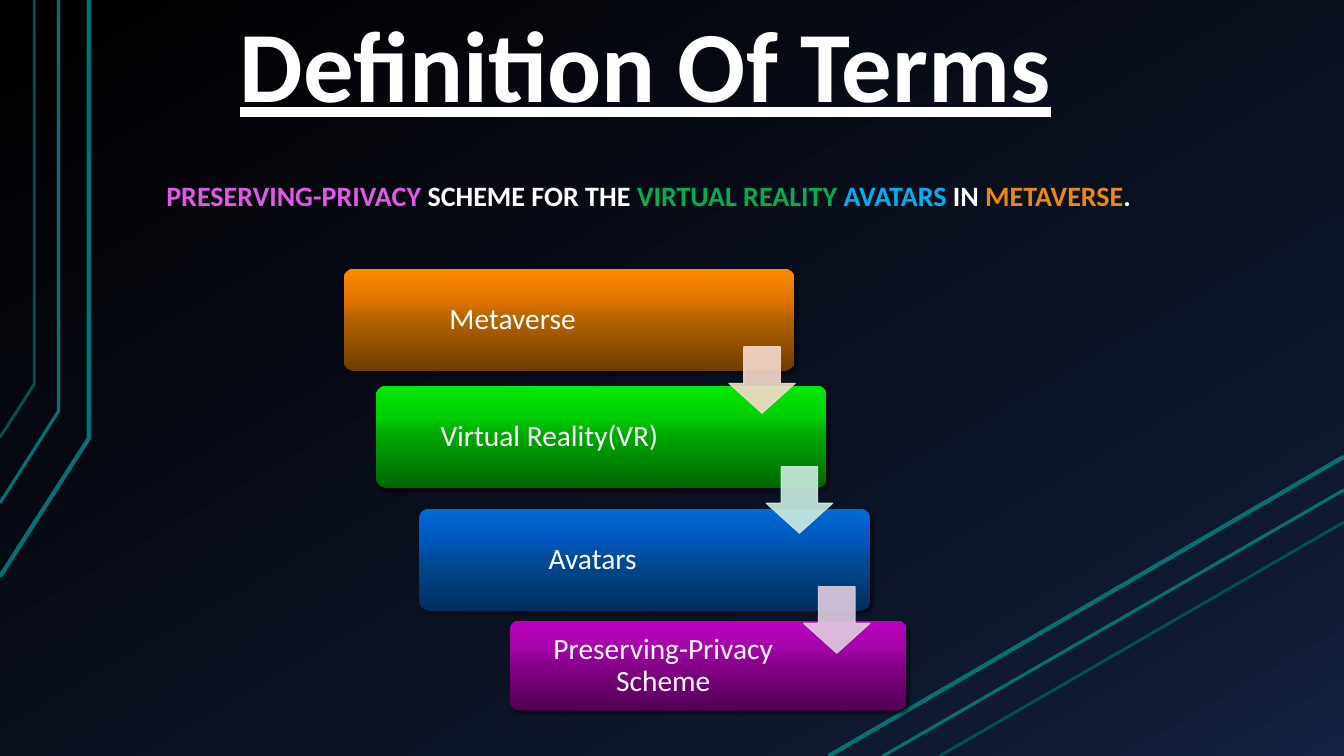
from lxml.etree import SubElement
from pptx import Presentation
from pptx.dml.color import RGBColor
from pptx.enum.shapes import MSO_CONNECTOR, MSO_SHAPE
from pptx.enum.text import MSO_ANCHOR, MSO_AUTO_SIZE, PP_ALIGN
from pptx.oxml.ns import qn
from pptx.util import Inches, Pt

WIDTH, HEIGHT = Inches(13.333), Inches(7.5)
FONT, WHITE = "Calibri", "FFFFFF"
TEAL, DIM_TEAL = "007373", "005252"

BACKGROUND = [(0, "000000"), (85, "0F1931"), (100, "142242")]
STROKES = [(TEAL, 3), (TEAL, 2.25), (DIM_TEAL, 2)]
# Bend column, bend row and end row of each bent line on the left
BENDS = [(6.6, 58, 76.27), (4.35, 54.4, 66.53), (2.55, 50.8, 57.87)]
# Column at the bottom edge and row at the right edge of each diagonal
DIAGONALS = [(61.65, 60.4), (65.7, 64.8), (69.9, 69.07)]

SUBTITLE = [
    ("PRESERVING-PRIVACY", "E359E6"),
    (" SCHEME FOR THE ", WHITE),
    ("VIRTUAL REALITY ", "00B050"),
    ("AVATARS", "00B0F0"),
    (" IN ", WHITE),
    ("METAVERSE", "E98915"),
    (".", WHITE),
]
# Term, place of the card, width of its text, colours from bottom to top
TERMS = [
    ("Metaverse", (25.58, 35.6, 33.53, 13.47), 24.68,
     ("6F3D00", "B36200", "E27400", "FE8B00")),
    ("Virtual Reality(VR)", (27.98, 51.07, 33.53, 13.47), 25.35,
     ("006602", "00A504", "00D003", "00E906")),
    ("Avatars", (31.2, 67.33, 33.53, 13.47), 25.35,
     ("002E5D", "004B96", "0058BE", "006AD5")),
    ("Preserving-Privacy Scheme", (37.95, 82.13, 29.48, 11.87), 22.35,
     ("520054", "850088", "A505A9", "BC00C0")),
]
ARROW_COLOURS = ["F7DACC", "CBEDE1", "E0CCE1"]


def across(share):
    return round(WIDTH * share / 100)


def down(share):
    return round(HEIGHT * share / 100)


def place(left, top, width, height):
    """Turn percentages of the slide into lengths."""
    return across(left), down(top), across(width), down(height)


def colour(hex_value):
    return RGBColor.from_string(hex_value)


def set_gradient(fill, element, stops, angle):
    """Fill with (percent, colour) stops; the angle runs counter-clockwise."""
    fill.gradient()
    fill.gradient_angle = angle
    stop_list = next(element.iter(qn("a:gsLst")))
    for old_stop in list(stop_list):
        stop_list.remove(old_stop)
    for percent, hex_value in stops:
        stop = SubElement(stop_list, qn("a:gs"), pos=str(percent * 1000))
        SubElement(stop, qn("a:srgbClr"), val=hex_value)


def add_shadow(shape):
    shape.shadow.inherit = False
    effects = shape.element.spPr.find(qn("a:effectLst"))
    shadow = SubElement(effects, qn("a:outerShdw"), blurRad=str(Pt(3)),
                        dist=str(Pt(2)), dir="2700000", rotWithShape="0")
    shade = SubElement(shadow, qn("a:srgbClr"), val="000000")
    SubElement(shade, qn("a:alpha"), val="60000")


def set_stroke(line, hex_value, width):
    line.color.rgb = colour(hex_value)
    line.width = Pt(width)


def write(box, spans, size, anchor, align, insets, bold=False, underline=False):
    frame = box.text_frame
    frame.word_wrap = True
    frame.auto_size = MSO_AUTO_SIZE.NONE
    frame.vertical_anchor = anchor
    frame.margin_left = frame.margin_right = Inches(insets[0])
    frame.margin_top = frame.margin_bottom = Inches(insets[1])
    para = frame.paragraphs[0]
    para.alignment = align
    para.line_spacing = 0.9
    para.space_before = Pt(0)
    for text, hex_value in spans:
        span = para.add_run()
        span.text = text
        span.font.name = FONT
        span.font.size = Pt(size)
        span.font.bold = bold
        span.font.underline = underline
        span.font.color.rgb = colour(hex_value)


def add_bent_line(slide, bend, stroke):
    column, bend_row, end_row = bend
    builder = slide.shapes.build_freeform(0, down(end_row))
    builder.add_line_segments(
        [(across(column), down(bend_row)), (across(column), 0)], close=False)
    shape = builder.convert_to_shape()
    shape.shadow.inherit = False
    shape.fill.background()
    set_stroke(shape.line, *stroke)


def add_diagonal(slide, diagonal, stroke):
    column, row = diagonal
    line = slide.shapes.add_connector(
        MSO_CONNECTOR.STRAIGHT, across(column), HEIGHT, WIDTH, down(row))
    SubElement(line.element.spPr, qn("a:effectLst"))
    set_stroke(line.line, *stroke)


def add_card(slide, term, area, text_width, shades):
    card = slide.shapes.add_shape(MSO_SHAPE.ROUNDED_RECTANGLE, *place(*area))
    card.adjustments[0] = 0.1
    set_gradient(card.fill, card.element, zip((0, 50, 70, 100), shades), 90)
    card.line.fill.background()
    add_shadow(card)
    left, top, _, height = area
    box = slide.shapes.add_textbox(
        *place(left + 0.22, top + 0.4, text_width, height - 0.8))
    write(box, [(term, WHITE)], 21, MSO_ANCHOR.MIDDLE, PP_ALIGN.CENTER,
          (0.09, 0.09))


def add_arrow(slide, step, hex_value):
    arrow = slide.shapes.add_shape(
        MSO_SHAPE.DOWN_ARROW,
        *place(54.23 + 2.78 * step, 45.87 + 15.87 * step, 4.95, 8.8))
    arrow.adjustments[0], arrow.adjustments[1] = 0.55, 0.45
    arrow.shadow.inherit = False
    arrow.fill.solid()
    arrow.fill.fore_color.rgb = colour(hex_value)
    set_stroke(arrow.line, hex_value, 0.75)
    for tint in arrow.element.spPr.iter(qn("a:srgbClr")):
        SubElement(tint, qn("a:alpha"), val="90000")


def add_headings(slide):
    title = slide.shapes.title
    title.left, title.top, title.width, title.height = place(
        16.88, 1.07, 70.65, 16.27)
    write(title, [("Definition Of Terms", WHITE)], 72, MSO_ANCHOR.BOTTOM,
          PP_ALIGN.LEFT, (0.13, 0.07), bold=True, underline=True)
    subtitle = slide.shapes.add_textbox(*place(11.4, 18.93, 83.48, 10.13))
    write(subtitle, SUBTITLE, 20, MSO_ANCHOR.BOTTOM, PP_ALIGN.LEFT,
          (0.13, 0.07), bold=True)


def main():
    deck = Presentation()
    deck.slide_width, deck.slide_height = WIDTH, HEIGHT
    slide = deck.slides.add_slide(deck.slide_layouts[5])
    set_gradient(slide.background.fill, slide.element, BACKGROUND, 300)
    for bend, stroke in zip(BENDS, STROKES):
        add_bent_line(slide, bend, stroke)
    for diagonal, stroke in zip(DIAGONALS, STROKES):
        add_diagonal(slide, diagonal, stroke)
    add_headings(slide)
    for term in TERMS:
        add_card(slide, *term)
    for step, hex_value in enumerate(ARROW_COLOURS):
        add_arrow(slide, step, hex_value)
    deck.save("out.pptx")


if __name__ == "__main__":
    main()
